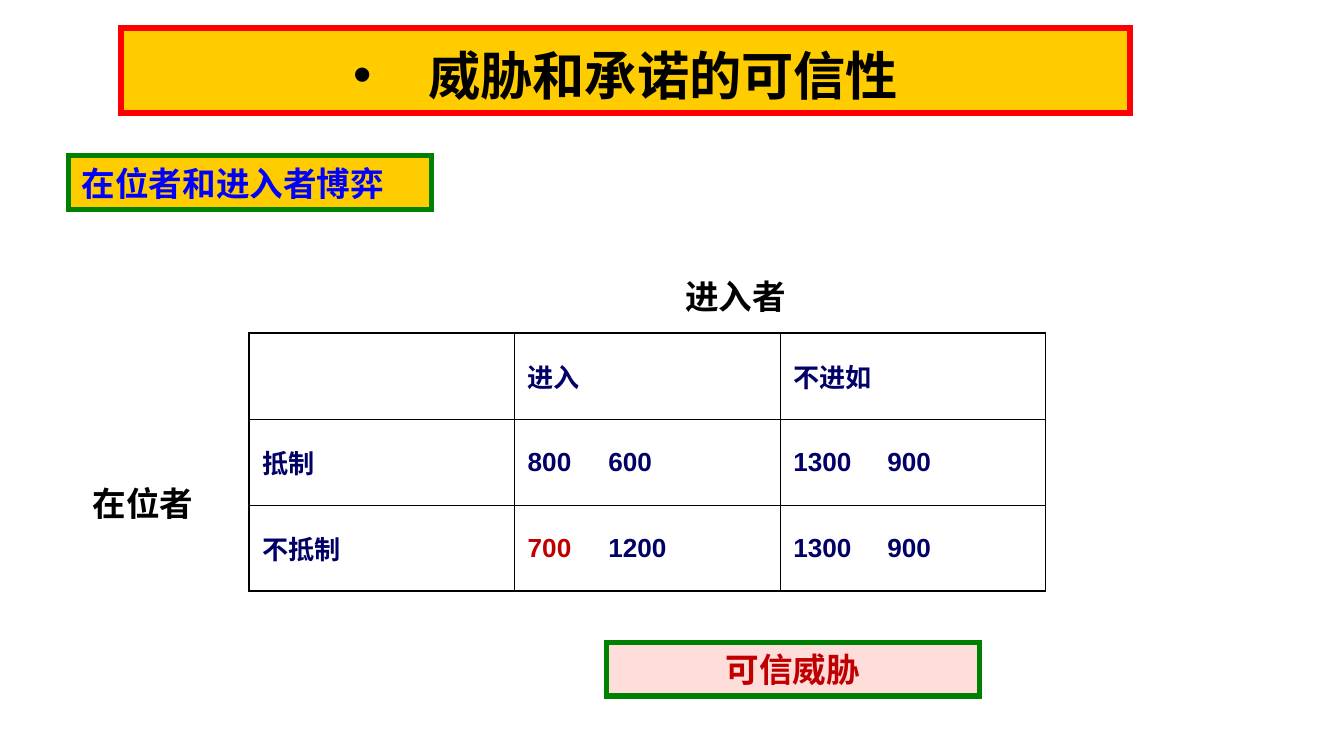
from dataclasses import dataclass

from lxml import etree
from pptx import Presentation
from pptx.dml.color import RGBColor
from pptx.enum.shapes import MSO_SHAPE
from pptx.enum.text import MSO_ANCHOR, PP_ALIGN
from pptx.oxml.ns import qn
from pptx.util import Inches, Pt

RECTANGLE = MSO_SHAPE.RECTANGLE
MIDDLE, BOTTOM = MSO_ANCHOR.MIDDLE, MSO_ANCHOR.BOTTOM
LEFT, CENTER = PP_ALIGN.LEFT, PP_ALIGN.CENTER


@dataclass(frozen=True)
class Theme:
    black: str = "000000"
    navy: str = "000066"
    blue: str = "0000FF"
    crimson: str = "C00000"
    red: str = "FF0000"
    green: str = "008000"
    gold: str = "FFCC00"
    pink: str = "FEDDDA"
    title_font: str = "Calibri"
    label_font: str = "Comic Neue"
    table_font: str = "Arial"
    title_size: int = 28
    label_size: int = 18
    table_size: int = 14
    outer_line: float = 1.08
    inner_line: float = 0.45


THEME = Theme()


def set_attributes(target, values):
    for name, value in values.items():
        setattr(target, name, value)


def add_run(paragraph, text, font, size, color):
    run = paragraph.add_run()
    run.text = text
    set_attributes(run.font, {"name": font, "size": Pt(size), "bold": True})
    run.font.color.rgb = RGBColor.from_string(color)


def write_label(shape, text, color, align=LEFT, wrap=True,
                font=THEME.label_font, size=THEME.label_size):
    set_attributes(shape.text_frame, {"word_wrap": wrap, "vertical_anchor": BOTTOM})
    paragraph = shape.text_frame.paragraphs[0]
    paragraph.alignment = align
    add_run(paragraph, text, font, size, color)


def add_label(slide, box, text):
    shape = slide.shapes.add_textbox(*map(Inches, box))
    write_label(shape, text, THEME.black, wrap=False)


def add_panel(slide, box, fill, line, line_width):
    shape = slide.shapes.add_shape(RECTANGLE, *map(Inches, box))
    shape.shadow.inherit = False
    shape.fill.solid()
    shape.fill.fore_color.rgb = RGBColor.from_string(fill)
    shape.line.color.rgb = RGBColor.from_string(line)
    shape.line.width = Pt(line_width)
    outline = shape._element.spPr.find(qn("a:ln"))
    etree.SubElement(outline, qn("a:miter"), lim="800000")
    return shape


def add_bullet(paragraph, indent, color, font):
    properties = paragraph._p.get_or_add_pPr()
    properties.set("marL", str(Inches(indent)))
    properties.set("indent", str(-Inches(indent)))
    bullet_color = etree.SubElement(properties, qn("a:buClr"))
    etree.SubElement(bullet_color, qn("a:srgbClr"), val=color)
    etree.SubElement(properties, qn("a:buFont"), typeface=font)
    etree.SubElement(properties, qn("a:buChar"), char="•")


def add_tab_stop(paragraph, position):
    tabs = etree.SubElement(paragraph._p.get_or_add_pPr(), qn("a:tabLst"))
    etree.SubElement(tabs, qn("a:tab"), pos=str(Inches(position)), algn="l")


def set_borders(cell, widths):
    properties = cell._tc.get_or_add_tcPr()
    for side, width in widths.items():
        line = etree.SubElement(properties, qn(f"a:ln{side}"), w=str(Pt(width)))
        fill = etree.SubElement(line, qn("a:solidFill"))
        etree.SubElement(fill, qn("a:srgbClr"), val=THEME.black)


def add_payoff_table(slide, box, rows, tab_stops):
    row_count, column_count = len(rows), len(rows[0])
    frame = slide.shapes.add_table(row_count, column_count, *map(Inches, box))
    table = frame.table
    set_attributes(table, {"first_row": False, "horz_banding": False})
    for row, values in enumerate(rows):
        for column, runs in enumerate(values):
            cell = table.cell(row, column)
            on_edge = {"L": column == 0, "R": column == column_count - 1,
                       "T": row == 0, "B": row == row_count - 1}
            set_borders(cell, {side: THEME.outer_line if edge else THEME.inner_line
                               for side, edge in on_edge.items()})
            cell.fill.background()
            cell.vertical_anchor = MIDDLE
            paragraph = cell.text_frame.paragraphs[0]
            if len(runs) > 1:
                add_tab_stop(paragraph, tab_stops[column])
            for text, color in runs:
                add_run(paragraph, text, THEME.table_font, THEME.table_size, color)


def plain(text):
    return [(text, THEME.navy)]


def payoffs(incumbent, entrant, color=THEME.navy):
    return [(str(incumbent), color), (f"\t{entrant}", THEME.navy)]


def main():
    presentation = Presentation()
    width = Inches(10)
    set_attributes(presentation, {"slide_width": width, "slide_height": width * 9 // 16})
    slide = presentation.slides.add_slide(presentation.slide_layouts[6])

    rows = [
        [[], plain("进入"), plain("不进如")],
        [plain("抵制"), payoffs(800, 600), payoffs(1300, 900)],
        [plain("不抵制"), payoffs(700, 1200, THEME.crimson), payoffs(1300, 900)],
    ]
    add_payoff_table(slide, (1.85, 2.48, 5.93, 1.92), rows, {1: 0.6, 2: 0.7})

    add_label(slide, (5, 2, 0.95, 0.4), "进入者")
    add_label(slide, (0.59, 3.54, 0.95, 0.4), "在位者")

    conclusion = add_panel(slide, (4.51, 4.78, 2.78, 0.4), THEME.pink, THEME.green, 2.75)
    write_label(conclusion, "可信威胁", THEME.crimson, CENTER)
    subtitle = add_panel(slide, (0.51, 1.16, 2.7, 0.4), THEME.gold, THEME.green, 2.75)
    write_label(subtitle, "在位者和进入者博弈", THEME.blue)

    title = add_panel(slide, (0.9, 0.21, 7.51, 0.63), THEME.gold, THEME.red, 3.25)
    add_bullet(title.text_frame.paragraphs[0], 0.56, THEME.black, THEME.table_font)
    write_label(title, "威胁和承诺的可信性", THEME.black, CENTER,
                font=THEME.title_font, size=THEME.title_size)

    presentation.save("out.pptx")


if __name__ == "__main__":
    main()
